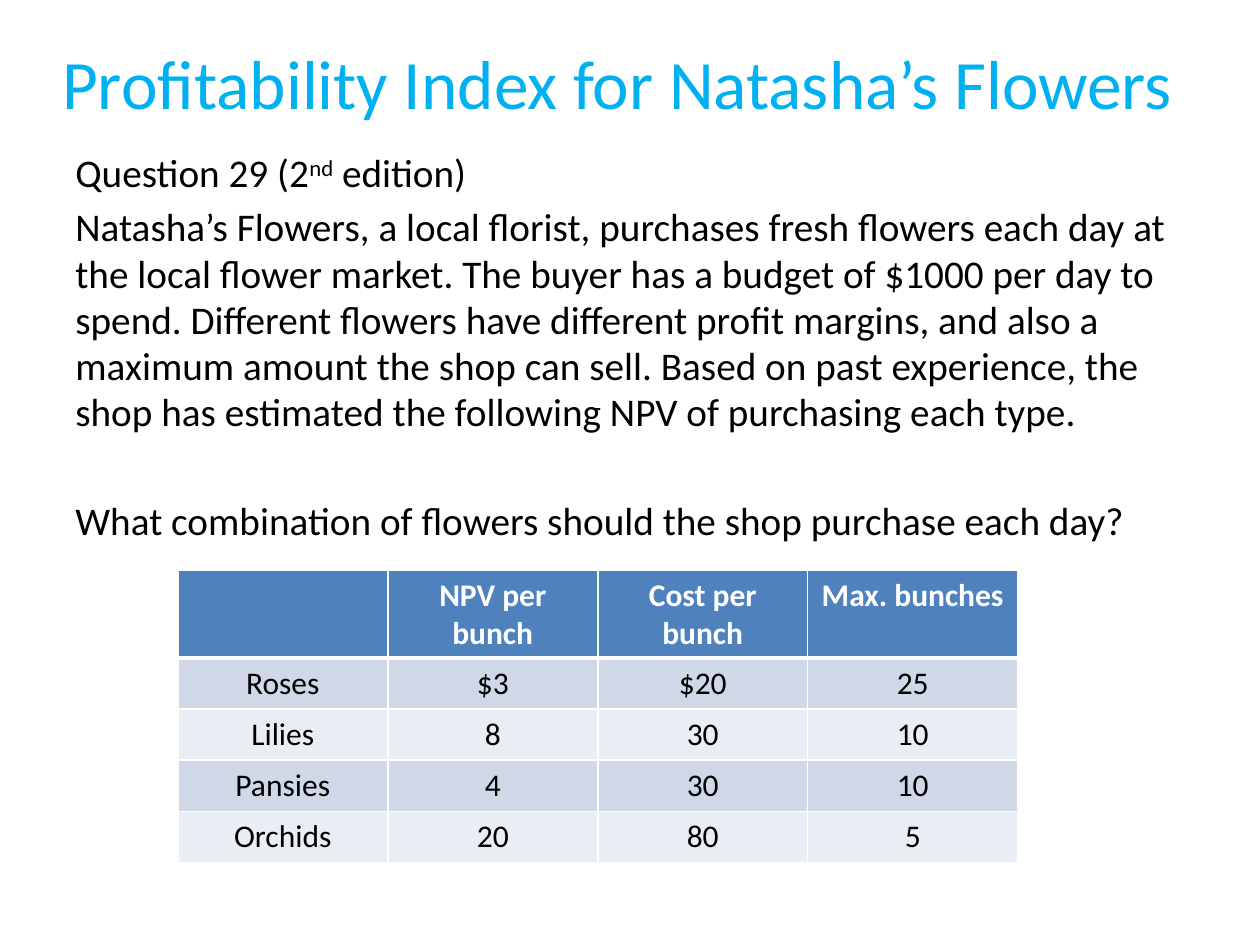
"""Build the profitability index slide for Natasha's Flowers."""
from lxml.etree import SubElement as Sub
from pptx import Presentation
from pptx.dml.color import RGBColor as RGB
from pptx.enum.text import MSO_ANCHOR as Anchor, PP_ALIGN as Align
from pptx.oxml.ns import qn
from pptx.util import Pt

TITLE = "Profitability Index for Natasha’s Flowers"
BODY = [
    (0, [("Question 29 (2", 0), ("nd", 30000), (" edition)", 0)]),
    (4.5, [("Natasha’s Flowers, a local florist, purchases fresh flowers each day at "
            "the local flower market. The buyer has a budget of $1000 per day to spend. "
            "Different flowers have different profit margins, and also a maximum amount "
            "the shop can sell. Based on past experience, the shop has estimated the "
            "following NPV of purchasing each type.", 0)]),
    (35.8, [("What combination of flowers should the shop purchase each day?", 0)]),
]
ROWS = [
    ("", "NPV per bunch", "Cost per bunch", "Max. bunches"),
    ("Roses", "$3", "$20", "25"),
    ("Lilies", "8", "30", "10"),
    ("Pansies", "4", "30", "10"),
    ("Orchids", "20", "80", "5"),
]
BOXES = {"title": (21.6, 21.6, 662.4, 50.4), "body": (36, 82.8, 648, 243.4)}
TABLE = {"left": 101.6, "top": 325.6, "col": 120, "head": 50.4, "row": 29.2}
THEME = {
    "font": "Calibri",
    "title": {"size": 39.6, "color": "00B0F0"},
    "body": {"size": 22.4, "color": "000000"},
    "head": {"size": 18, "color": "FFFFFF", "bold": True},
    "cell": {"size": 18, "color": "000000", "bold": False},
    "head_fill": "4F81BD",
    "bands": ("D0D8E8", "E9EDF4"),
    "border": "FFFFFF",
}


def style(font, kind):
    fmt = THEME[kind]
    values = {"name": THEME["font"], "size": Pt(fmt["size"]), "bold": fmt.get("bold", False)}
    for name, value in values.items():
        setattr(font, name, value)
    font.color.rgb = RGB.from_string(fmt["color"])


def add_run(p, text, kind, baseline=0):
    r = p.add_run()
    r.text = text
    style(r.font, kind)
    if baseline:
        r.font._element.set("baseline", str(baseline))


def add_box(s, kind, anchor):
    tf = s.shapes.add_textbox(*map(Pt, BOXES[kind])).text_frame
    for name, value in {"word_wrap": True, "vertical_anchor": anchor}.items():
        setattr(tf, name, value)
    return tf


def set_borders(cell, top, bottom):
    tcPr = cell._tc.get_or_add_tcPr()
    for side, width in {"L": 1, "R": 1, "T": top, "B": bottom}.items():
        ln = Sub(tcPr, qn(f"a:ln{side}"), w=str(Pt(width)))
        Sub(Sub(ln, qn("a:solidFill")), qn("a:srgbClr"), val=THEME["border"])


def add_table(s):
    n_rows, n_cols = len(ROWS), len(ROWS[0])
    heights = [TABLE["head"]] + [TABLE["row"]] * (n_rows - 1)
    size = (TABLE["col"] * n_cols, sum(heights))
    table = s.shapes.add_table(n_rows, n_cols, Pt(TABLE["left"]), Pt(TABLE["top"]),
                               *map(Pt, size)).table
    for i, (row, height) in enumerate(zip(ROWS, heights)):
        table.rows[i].height = Pt(height)
        kind = "cell" if i else "head"
        fill = THEME["bands"][(i - 1) % 2] if i else THEME["head_fill"]
        for j, text in enumerate(row):
            cell = table.cell(i, j)
            set_borders(cell, 3 if i == 1 else 1, 1 if i else 3)
            cell.fill.solid()
            cell.fill.fore_color.rgb = RGB.from_string(fill)
            p = cell.text_frame.paragraphs[0]
            p.alignment = Align.CENTER
            if text:
                add_run(p, text, kind)


def main():
    prs = Presentation()
    prs.slide_width, prs.slide_height = Pt(720), Pt(540)
    s = prs.slides.add_slide(prs.slide_layouts[6])
    p = add_box(s, "title", Anchor.MIDDLE).paragraphs[0]
    p.alignment = Align.CENTER
    add_run(p, TITLE, "title")
    tf = add_box(s, "body", Anchor.TOP)
    for i, (before, runs) in enumerate(BODY):
        p = tf.add_paragraph() if i else tf.paragraphs[0]
        p.space_before = Pt(before)
        p.line_spacing = 0.98
        for text, baseline in runs:
            add_run(p, text, "body", baseline)
    add_table(s)
    prs.save("out.pptx")


if __name__ == "__main__":
    main()
